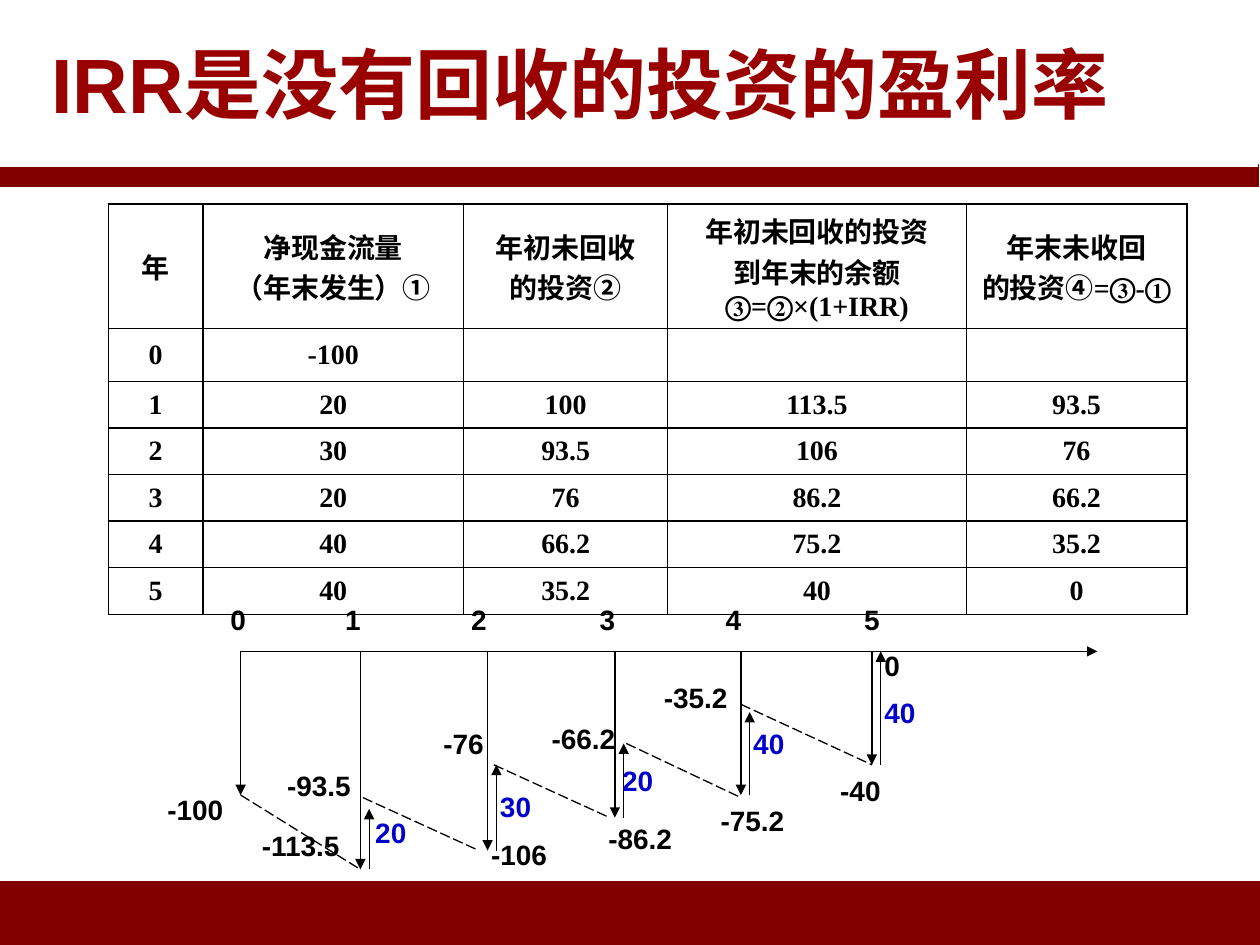
from lxml import etree
from pptx import Presentation
from pptx.dml.color import RGBColor
from pptx.enum.dml import MSO_LINE
from pptx.enum.shapes import MSO_CONNECTOR, MSO_SHAPE
from pptx.enum.text import MSO_ANCHOR, MSO_AUTO_SIZE, PP_ALIGN
from pptx.oxml.ns import qn
from pptx.util import Inches, Pt

STRAIGHT = MSO_CONNECTOR.STRAIGHT
RECT = MSO_SHAPE.RECTANGLE
DASH = MSO_LINE.LONG_DASH
MIDDLE = MSO_ANCHOR.MIDDLE
LEFT, CENTER = PP_ALIGN.LEFT, PP_ALIGN.CENTER
NO_FIT = MSO_AUTO_SIZE.NONE

COLORS = {"bar": "800000", "title": "990000", "ink": "000000",
          "recovered": "0000CC", "paper": "FFFFFF"}


def rgb(name):
    return RGBColor.from_string(COLORS[name])


class SlideBuilder:
    sans, serif = "Arial", "Times New Roman"
    body_size, line_width = 16, 0.75

    def __init__(self, prs):
        self.slide = prs.slides.add_slide(prs.slide_layouts[5])
        self.shapes = self.slide.shapes

    def start_group(self):
        self.shapes = self.slide.shapes.add_group_shape().shapes

    def format(self, p, size, font, color, align=LEFT):
        p.alignment = align
        for r in p.runs:
            r.font.size, r.font.name, r.font.bold = Pt(size), font, True
            r.font.color.rgb = rgb(color)

    def bar(self, x, y, w, h, color):
        sp = self.shapes.add_shape(RECT, Inches(x), Inches(y), Inches(w), Inches(h))
        sp.shadow.inherit = False
        sp.fill.solid()
        sp.fill.fore_color.rgb = rgb(color)
        sp.line.color.rgb = rgb(color)
        sp.line.width = Pt(self.line_width)

    def title(self, text, x, y, w, h):
        sp = self.slide.shapes.title
        sp.left, sp.top, sp.width, sp.height = (Inches(v) for v in (x, y, w, h))
        sp.fill.solid()
        sp.fill.fore_color.rgb = rgb("paper")
        tf = sp.text_frame
        tf.text = text
        tf.auto_size, tf.vertical_anchor = NO_FIT, MIDDLE
        self.format(tf.paragraphs[0], 44, self.sans, "title")
        # Bring the title in front of the bars
        sp._element.getparent().append(sp._element)

    def label(self, text, x, y, w, color="ink"):
        tf = self.shapes.add_textbox(Inches(x), Inches(y), Inches(w), Inches(0.37)).text_frame
        tf.word_wrap = True
        tf.text = text
        self.format(tf.paragraphs[0], self.body_size, self.sans, color)

    def line(self, x1, y1, x2, y2, dashed=False):
        """A dashed line is plain; a solid one ends in an arrowhead."""
        c = self.shapes.add_connector(STRAIGHT, Inches(x1), Inches(y1), Inches(x2), Inches(y2))
        c.line.color.rgb = rgb("ink")
        c.line.width = Pt(self.line_width)
        if dashed:
            c.line.dash_style = DASH
        else:
            etree.SubElement(c.line._get_or_add_ln(), qn("a:tailEnd"), type="triangle")
        etree.SubElement(c._element.spPr, qn("a:effectLst"))

    def cell(self, cell, text):
        tf = cell.text_frame
        tf.text = text
        cell.vertical_anchor = MIDDLE
        for p in tf.paragraphs:
            p_pr = p._p.get_or_add_pPr()
            p_pr.set("marL", str(Inches(0.38)))
            p_pr.set("indent", str(-Inches(0.38)))
            self.format(p, self.body_size, self.serif, "ink", CENTER)
        tc_pr = cell._tc.get_or_add_tcPr()
        for side in ("a:lnL", "a:lnR", "a:lnT", "a:lnB"):
            ln = etree.SubElement(tc_pr, qn(side), w=str(Pt(1)))
            fill = etree.SubElement(ln, qn("a:solidFill"))
            etree.SubElement(fill, qn("a:srgbClr"), val=COLORS["ink"])
        cell.fill.background()

    def table(self, rows, x, y, widths, heights):
        table = self.shapes.add_table(
            len(rows), len(widths), Inches(x), Inches(y),
            Inches(sum(widths)), Inches(sum(heights))).table
        table.first_row = table.horz_banding = False
        for column, w in zip(table.columns, widths):
            column.width = Inches(w)
        for row, h, texts in zip(table.rows, heights, rows):
            row.height = Inches(h)
            for cell, text in zip(row.cells, texts):
                self.cell(cell, text)


CASH_TABLE = [
    ("年", "净现金流量\n（年末发生）①", "年初未回收\n的投资②",
     "年初未回收的投资\n到年末的余额\n③=②×(1+IRR)", "年末未收回\n的投资④=③-①"),
    ("0", "-100", "", "", ""),
    ("1", "20", "100", "113.5", "93.5"),
    ("2", "30", "93.5", "106", "76"),
    ("3", "20", "76", "86.2", "66.2"),
    ("4", "40", "66.2", "75.2", "35.2"),
    ("5", "40", "35.2", "40", "0"),
]

# Timeline: x of each year, depth of its balance, level after recovery
AXIS_Y = 5.17
YEAR_X = [1.91, 2.86, 3.87, 4.88, 5.88, 6.92]
BALANCE_Y = [6.31, 6.9, 6.75, 6.49, 6.31, 6.07]
RECOVERED_Y = [6.42, 6.07, 5.9, 5.65, AXIS_Y]
GROWTH = [(1.91, 6.31, 2.86, 6.9), (2.88, 6.33, 3.8, 6.75), (3.92, 6.07, 4.84, 6.49),
          (4.97, 5.9, 5.88, 6.33), (5.88, 5.59, 6.92, 6.07)]
YEAR_LABEL_X = [1.73, 2.64, 3.64, 4.66, 5.66, 6.76]
BALANCE_LABELS = [
    ("-100", 1.23, 6.24, 0.68), ("-113.5", 1.98, 6.53, 0.96), ("-93.5", 2.18, 6.05, 0.76),
    ("-106", 3.8, 6.6, 0.76), ("-76", 3.42, 5.72, 0.76), ("-86.2", 4.73, 6.47, 0.89),
    ("-66.2", 4.28, 5.68, 0.89), ("-75.2", 5.62, 6.33, 0.89), ("-35.2", 5.17, 5.35, 0.89),
    ("-40", 6.57, 6.09, 0.89), ("0", 6.92, 5.1, 0.89),
]
RECOVERY_LABELS = [("20", 2.88, 6.42), ("30", 3.87, 6.22), ("20", 4.84, 6.01),
                   ("40", 5.88, 5.72), ("40", 6.92, 5.47)]


def main():
    prs = Presentation()
    prs.slide_width, prs.slide_height = Inches(10), Inches(7.5)
    s = SlideBuilder(prs)

    # Bars and title
    s.bar(0, 7, 10, 0.5, "bar")
    s.bar(-0.01, 1.31, 10, 0.17, "bar")
    s.bar(-0.02, 0.01, 10, 1.31, "paper")
    s.title("IRR是没有回收的投资的盈利率", 0.31, 0.01, 8.94, 1.29)

    # Cash flow table
    s.table(CASH_TABLE, 0.86, 1.62, [0.75, 2.07, 1.62, 2.37, 1.75],
            [0.98, 0.42] + [0.37] * 5)

    # Cash flow diagram: axis, balances, recoveries and growth
    s.start_group()
    s.line(YEAR_X[0], AXIS_Y, 8.71, AXIS_Y)
    for x, y in zip(YEAR_X, BALANCE_Y):
        s.line(x, AXIS_Y, x, y)
    for x, y, top in zip(YEAR_X[1:], BALANCE_Y[1:], RECOVERED_Y):
        s.line(x + 0.07, y, x + 0.07, top)
    for ends in GROWTH:
        s.line(*ends, dashed=True)

    # Diagram labels
    for year, x in enumerate(YEAR_LABEL_X):
        s.label(str(year), x, 4.73, 0.45)
    for text, x, y, w in BALANCE_LABELS:
        s.label(text, x, y, w)
    for text, x, y in RECOVERY_LABELS:
        s.label(text, x, y, 0.54, "recovered")

    prs.save("out.pptx")


if __name__ == "__main__":
    main()
